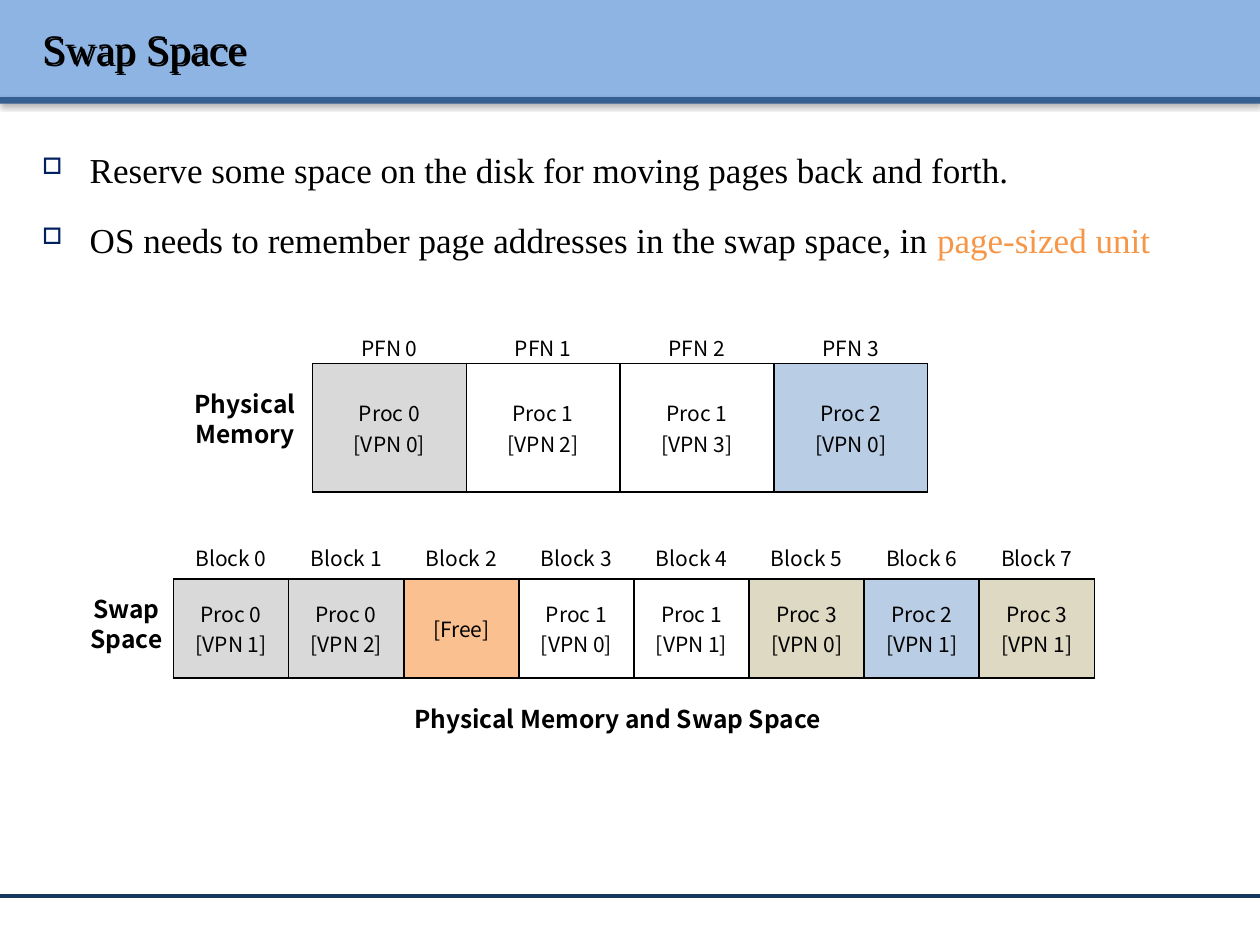
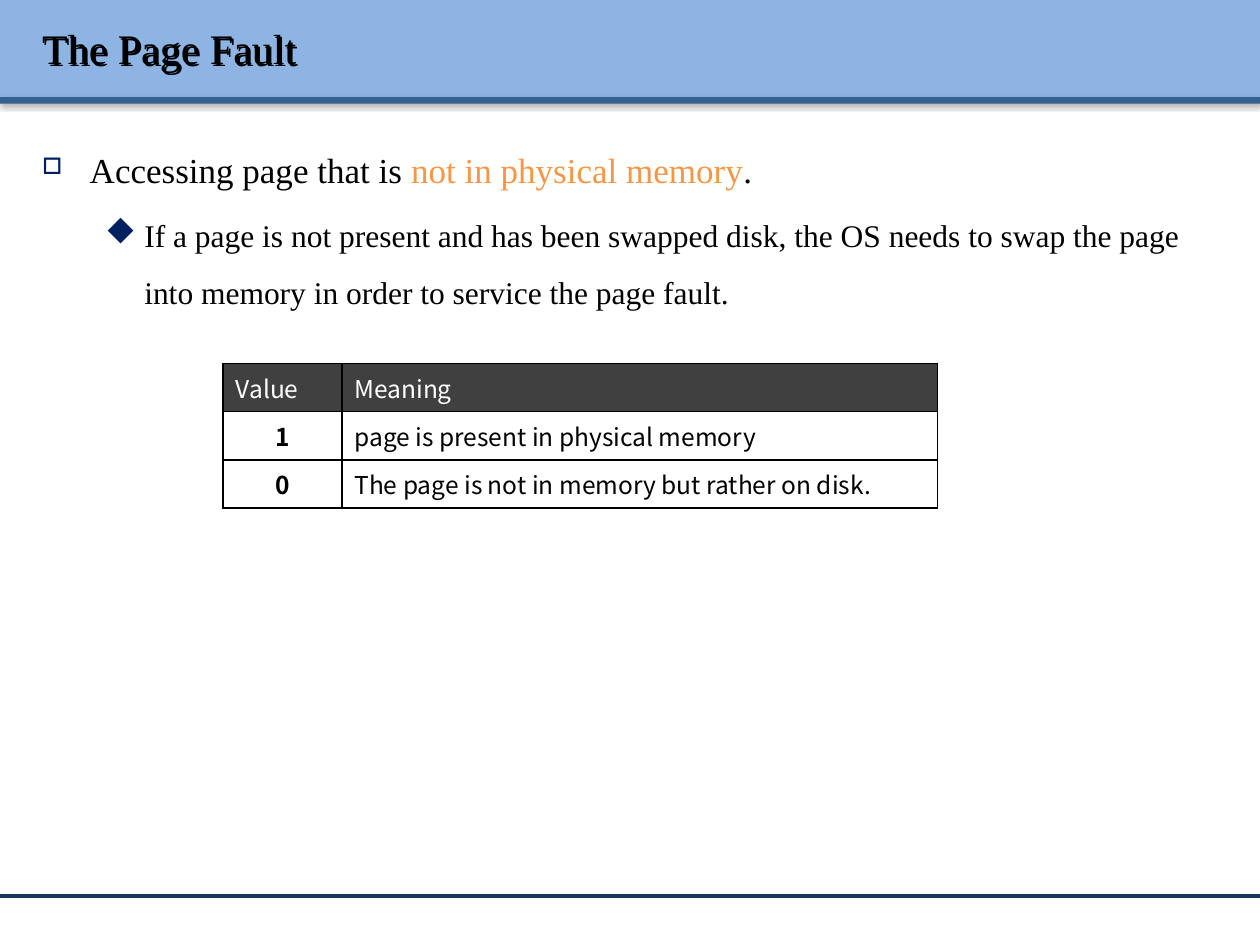
import pptx
import pptx.dml.color
import pptx.enum.shapes
import pptx.enum.text
import pptx.oxml
import pptx.oxml.ns
import pptx.util
from lxml import etree

Cm = pptx.util.Cm
Pt = pptx.util.Pt
RGBColor = pptx.dml.color.RGBColor
ALIGN = pptx.enum.text.PP_ALIGN
ANCHOR = pptx.enum.text.MSO_ANCHOR

BLACK = RGBColor(0x00, 0x00, 0x00)
WHITE = RGBColor(0xFF, 0xFF, 0xFF)
BAND_BLUE = RGBColor(0x8E, 0xB4, 0xE3)
STRIPE_BLUE = RGBColor(0x37, 0x60, 0x92)
FOOTER_NAVY = RGBColor(0x17, 0x37, 0x5E)
BULLET_NAVY = RGBColor(0x00, 0x20, 0x60)
ACCENT_ORANGE = RGBColor(0xF7, 0x96, 0x46)
HEADER_GRAY = RGBColor(0x40, 0x40, 0x40)
FREE_ORANGE = RGBColor(0xFA, 0xC0, 0x90)
PROC_FILLS = {
    "Proc 0": RGBColor(0xD9, 0xD9, 0xD9),
    "Proc 1": WHITE,
    "Proc 2": RGBColor(0xB9, 0xCD, 0xE5),
    "Proc 3": RGBColor(0xDD, 0xD9, 0xC3),
    "[Free]": FREE_ORANGE,
}

SERIF = "Times New Roman"
SANS = "Noto Sans CJK KR"
SYMBOLS = "Wingdings"
PAGE_WIDTH, PAGE_HEIGHT = 25.4, 19.05
LABEL_WIDTH = 4.5

TITLE_FONT = {"name": SERIF, "size": Pt(24)}
CELL_FONT = {"name": SANS, "size": Pt(12)}
TABLE_FONT = {"name": SANS, "size": Pt(14)}
CAPTION_FONT = {"name": SANS, "size": Pt(14), "bold": True}
BULLETS = [
    {"char": "o", "percent": 65, "left": 0.96, "hang": 0.96, "size": 20},
    {"char": "u", "percent": 100, "left": 2.06, "hang": 0.79, "size": 18},
]


def apply_formats(target, formats):
    for name, value in formats.items():
        setattr(target, name, value)


def format_font(font, formats, color=BLACK):
    apply_formats(font, formats)
    font.color.rgb = color


def add_xml(parent, tag, **attributes):
    element = etree.SubElement(parent, pptx.oxml.ns.qn(tag))
    for name, value in attributes.items():
        element.set(name, str(value))
    return element


def add_shadow(properties, blur, distance, direction, opacity):
    effects = add_xml(properties, "a:effectLst")
    shadow = add_xml(effects, "a:outerShdw", blurRad=Pt(blur), dist=Pt(distance),
                     dir=direction * 60000, algn="t", rotWithShape=0)
    color = add_xml(shadow, "a:srgbClr", val=BLACK)
    add_xml(color, "a:alpha", val=opacity * 1000)


def add_text_box(page, left, top, width, height, anchor=ANCHOR.TOP):
    box = page.shapes.add_textbox(Cm(left), Cm(top), Cm(width), Cm(height))
    apply_formats(box.text_frame, {"word_wrap": True, "vertical_anchor": anchor})
    return box


def write_lines(frame, text, formats, color=BLACK, **layout):
    for index, line in enumerate(text.split("\n")):
        para = frame.add_paragraph() if index else frame.paragraphs[0]
        apply_formats(para, layout)
        span = para.add_run()
        span.text = line
        format_font(span.font, formats, color)


def add_label(page, text, center, top, height, formats, width=LABEL_WIDTH):
    box = add_text_box(page, center - width / 2, top, width, height)
    write_lines(box.text_frame, text, formats, alignment=ALIGN.CENTER)


def add_band(page, top, height, color):
    band = page.shapes.add_shape(pptx.enum.shapes.MSO_SHAPE.RECTANGLE,
                                 0, Cm(top), Cm(PAGE_WIDTH), Cm(height))
    band.fill.solid()
    band.fill.fore_color.rgb = color
    band.line.fill.background()
    add_shadow(band._element.spPr, 3.1, 1.6, 90, 38)


def add_page(deck, title):
    page = deck.slides.add_slide(deck.slide_layouts[6])
    add_band(page, 0, 1.96, BAND_BLUE)
    add_band(page, 1.96, 0.13, STRIPE_BLUE)
    footer = page.shapes.add_connector(pptx.enum.shapes.MSO_CONNECTOR.STRAIGHT,
                                       0, Cm(18.06), Cm(PAGE_WIDTH), Cm(18.06))
    footer.line.color.rgb = FOOTER_NAVY
    footer.line.width = Pt(2)
    add_xml(footer._element.spPr, "a:effectLst")
    box = add_text_box(page, 0.6, 0.15, 24.41, 1.63, ANCHOR.MIDDLE)
    write_lines(box.text_frame, title, TITLE_FONT)
    add_shadow(box._element.spPr, 0, 1.5, 45, 100)
    return page


def add_bullets(page, items):
    frame = add_text_box(page, 0.6, 2.44, 24.41, 15.29).text_frame
    for index, (level, spans) in enumerate(items):
        bullet = BULLETS[level]
        para = frame.add_paragraph() if index else frame.paragraphs[0]
        properties = para._p.get_or_add_pPr()
        properties.set("marL", str(Cm(bullet["left"])))
        properties.set("indent", str(-Cm(bullet["hang"])))
        add_xml(add_xml(properties, "a:buClr"), "a:srgbClr", val=BULLET_NAVY)
        add_xml(properties, "a:buSzPct", val=bullet["percent"] * 1000)
        add_xml(properties, "a:buFont", typeface=SYMBOLS, pitchFamily=2, charset=2)
        add_xml(properties, "a:buChar", char=bullet["char"])
        apply_formats(para, {"level": level, "line_spacing": 1.5})
        if index:
            para.space_before = Pt(4)
        for text, color in spans:
            span = para.add_run()
            span.text = text
            format_font(span.font, {"name": SERIF, "size": Pt(bullet["size"])}, color)


def add_grid(page, left, top, widths, heights):
    table = page.shapes.add_table(len(heights), len(widths), Cm(left), Cm(top),
                                  Cm(sum(widths)), Cm(sum(heights))).table
    apply_formats(table, {"first_row": False, "horz_banding": False})
    for column, width in zip(table.columns, widths):
        column.width = Cm(width)
    for row, height in zip(table.rows, heights):
        row.height = Cm(height)
    return table


def fill_cell(cell, text, formats, fill, color=BLACK, alignment=ALIGN.CENTER,
              anchor=ANCHOR.MIDDLE):
    properties = cell._tc.get_or_add_tcPr()
    for side in ("a:lnL", "a:lnR", "a:lnT", "a:lnB"):
        border = add_xml(properties, side, w=Pt(1))
        add_xml(add_xml(border, "a:solidFill"), "a:srgbClr", val=BLACK)
    cell.vertical_anchor = anchor
    cell.fill.solid()
    cell.fill.fore_color.rgb = fill
    write_lines(cell.text_frame, text, formats, color, alignment=alignment)


def add_memory_row(page, left, top, cell_width, height, label_top, prefix, contents):
    table = add_grid(page, left, top, [cell_width] * len(contents), [height])
    for index, text in enumerate(contents):
        fill_cell(table.cell(0, index), text, CELL_FONT, PROC_FILLS[text.split("\n")[0]])
        add_label(page, f"{prefix} {index}", left + (index + 0.5) * cell_width,
                  label_top, 0.76, CELL_FONT)


def add_value_table(page, left, top, rows):
    table = add_grid(page, left, top, [2.39, 12.01], [0.97] * len(rows))
    for row, texts in enumerate(rows):
        header = row == 0
        for column, text in enumerate(texts):
            is_value = not header and column == 0
            fill_cell(table.cell(row, column), text, {**TABLE_FONT, "bold": is_value},
                      HEADER_GRAY if header else WHITE,
                      WHITE if header else BLACK,
                      ALIGN.CENTER if is_value else ALIGN.LEFT, ANCHOR.TOP)


def build_swap_space(deck):
    page = add_page(deck, "Swap Space")
    add_bullets(page, [
        (0, [("Reserve some space on the disk for moving pages back and forth.", BLACK)]),
        (0, [("OS needs to remember page addresses in the swap space, in ", BLACK),
             ("page-sized unit", ACCENT_ORANGE)]),
    ])
    add_memory_row(page, 6.3, 7.33, 3.1, 2.59, 6.64, "PFN", [
        "Proc 0\n[VPN 0]", "Proc 1\n[VPN 2]", "Proc 1\n[VPN 3]", "Proc 2\n[VPN 0]"])
    add_label(page, "Physical\nMemory", 4.94, 7.72, 1.45, CAPTION_FONT)
    add_memory_row(page, 3.5, 11.67, 2.32, 2, 10.88, "Block", [
        "Proc 0\n[VPN 1]", "Proc 0\n[VPN 2]", "[Free]", "Proc 1\n[VPN 0]",
        "Proc 1\n[VPN 1]", "Proc 3\n[VPN 0]", "Proc 2\n[VPN 1]", "Proc 3\n[VPN 1]"])
    add_label(page, "Swap\nSpace", 2.55, 11.86, 1.45, CAPTION_FONT)
    add_label(page, "Physical Memory and Swap Space", 12.45, 14.07, 0.86,
              CAPTION_FONT, 9.91)


def build_page_fault(deck):
    page = add_page(deck, "The Page Fault")
    add_bullets(page, [
        (0, [("Accessing page that is ", BLACK),
             ("not in physical memory", ACCENT_ORANGE), (".", BLACK)]),
        (1, [("If a page is not present and has been swapped disk, the OS needs to "
              "swap the page into memory in order to service the page fault.", BLACK)]),
    ])
    add_value_table(page, 4.5, 7.33, [
        ("Value", "Meaning"),
        ("1", "page is present in physical memory"),
        ("0", "The page is not in memory but rather on disk."),
    ])


def main():
    deck = pptx.Presentation()
    apply_formats(deck, {"slide_width": Cm(PAGE_WIDTH), "slide_height": Cm(PAGE_HEIGHT)})
    build_swap_space(deck)
    build_page_fault(deck)
    deck.save("out.pptx")


if __name__ == "__main__":
    main()
